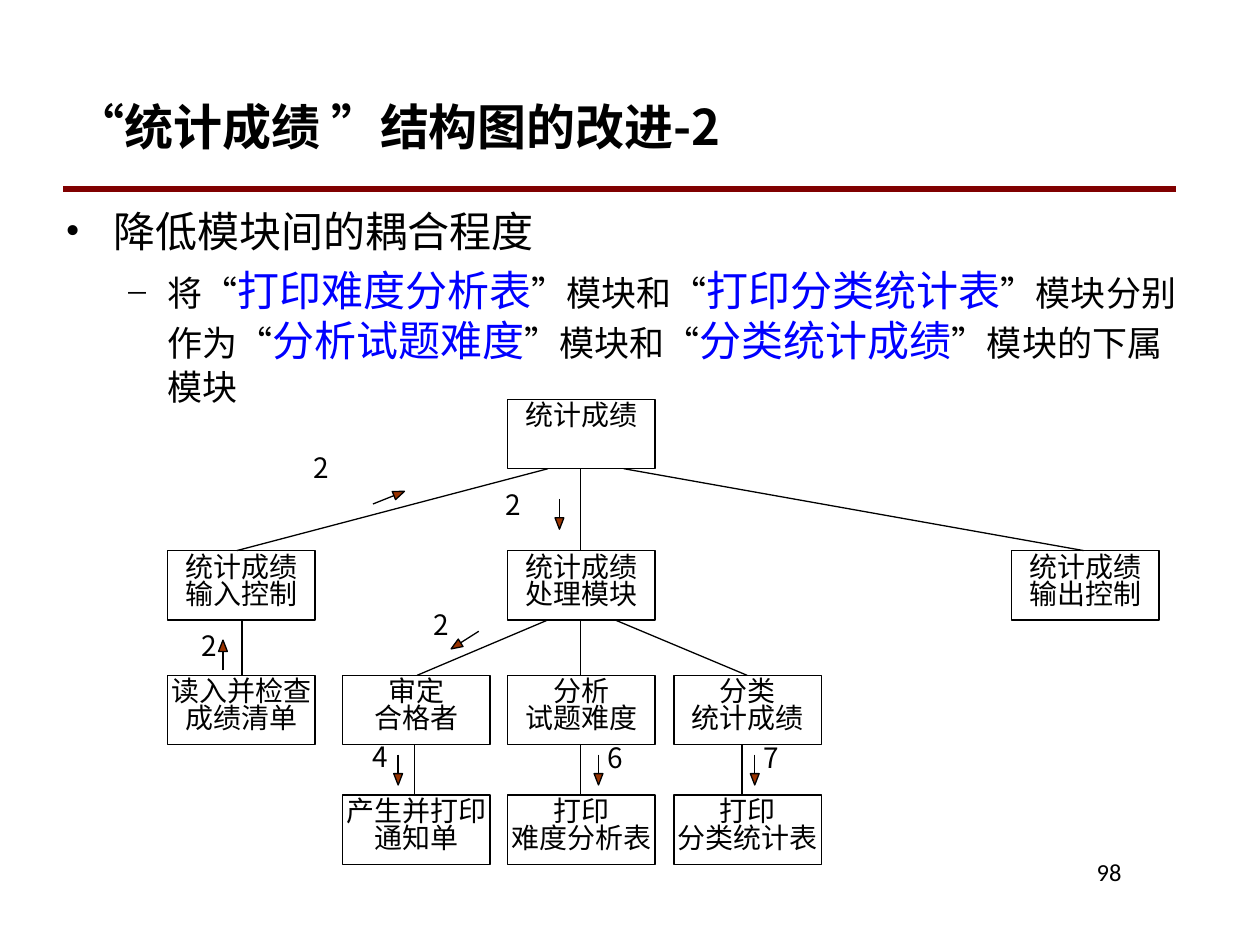
import math
from lxml import etree
from pptx import Presentation
from pptx import util as u
from pptx.dml.color import RGBColor
from pptx.enum import shapes, text
from pptx.oxml import ns

THEME = {
    "black": "000000", "blue": "0000FF", "rule": "800000", "brown": "993300",
    "hans": "Noto Sans CJK SC", "sans": "Calibri", "serif": "Times New Roman",
    "title": 28, "large": 24, "body": 20, "node": 16, "page": 14,
    "thin": 0.75, "thick": 3, "tight": 0.8,
}

# Grid of the module tree: left edges, top edges, node size
COLS = [1.33, 2.72, 4.03, 5.35, 8.03]
ROWS = [3.17, 4.37, 5.36, 6.31]
WIDE, HIGH = 1.17, 0.55

# (column, row, lines)
NODES = [
    (2, 0, ["统计成绩"]),
    (0, 1, ["统计成绩", "输入控制"]),
    (2, 1, ["统计成绩", "处理模块"]),
    (4, 1, ["统计成绩", "输出控制"]),
    (0, 2, ["读入并检查", "成绩清单"]),
    (1, 2, ["审定", "合格者"]),
    (2, 2, ["分析", "试题难度"]),
    (3, 2, ["分类", "统计成绩"]),
    (1, 3, ["产生并打印", "通知单"]),
    (2, 3, ["打印", "难度分析表"]),
    (3, 3, ["打印", "分类统计表"]),
]

# (upper row, x at parent, x at child)
LINKS = [
    (0, 4.35, 1.88), (0, 4.61, 4.61), (0, 4.95, 8.6),
    (1, 1.92, 1.92), (1, 4.35, 3.31), (1, 4.61, 4.61), (1, 4.88, 5.93),
    (2, 3.29, 3.29), (2, 4.61, 4.61), (2, 5.89, 5.89),
]

# (count, left and top of its label, tail, tip)
FLOWS = [
    ("2", (2.45, 3.59), (2.96, 4), (3.21, 3.9)),
    ("2", (3.97, 3.88), (4.44, 3.96), (4.44, 4.2)),
    ("2", (1.56, 5), (1.77, 5.32), (1.77, 5.08)),
    ("2", (3.4, 4.83), (3.8, 5.01), (3.58, 5.15)),
    ("4", (2.92, 5.88), (3.16, 5.99), (3.16, 6.23)),
    ("6", (4.78, 5.89), (4.75, 5.99), (4.75, 6.23)),
    ("7", (6.02, 5.89), (5.99, 5.99), (5.99, 6.23)),
]

POINTS = [("降低模块间的耦合程度", "large", "black")]
DETAIL = [
    ("将“", "body", "black"), ("打印难度分析表", "large", "blue"),
    ("”模块和“", "body", "black"), ("打印分类统计表", "large", "blue"),
    ("”模块分别作为“", "body", "black"), ("分析试题难度", "large", "blue"),
    ("”模块和“", "body", "black"), ("分类统计成绩", "large", "blue"),
    ("”模块的下属模块", "body", "black"),
]


def apply(item, **style):
    for key, value in style.items():
        setattr(item, key, value)


def tint(name):
    return RGBColor.from_string(THEME[name])


def inch(*values):
    return [u.Inches(v) for v in values]


def write(para, words, size, face, color="black", bold=False):
    run = para.add_run()
    run.text = words
    apply(run.font, size=u.Pt(THEME[size]), name=THEME[face], bold=bold)
    run.font.color.rgb = tint(color)
    props = run.font._element
    props.set("lang", "zh-CN")
    east = etree.Element(ns.qn("a:ea"), typeface=THEME["hans"])
    props.find(ns.qn("a:latin")).addnext(east)


def frame(shape, side, top, **style):
    body = shape.text_frame
    left, up = inch(side, top)
    apply(body, word_wrap=True, margin_left=left, margin_right=left,
          margin_top=up, margin_bottom=up, **style)
    return body


def label(slide, area, side=0.1, top=0.05, **style):
    return frame(slide.shapes.add_textbox(*inch(*area)), side, top, **style)


def line(slide, start, end, color="black", width="thin"):
    link = slide.shapes.add_connector(
        shapes.MSO_CONNECTOR.STRAIGHT, *inch(*start, *end))
    link.line.color.rgb = tint(color)
    link.line.width = u.Pt(THEME[width])
    etree.SubElement(link._element.spPr, ns.qn("a:effectLst"))


def solid(slide, kind, area, fill=None):
    shape = slide.shapes.add_shape(kind, *inch(*area))
    shape.shadow.inherit = False
    if fill:
        shape.fill.solid()
        shape.fill.fore_color.rgb = tint(fill)
    else:
        shape.fill.background()
    shape.line.color.rgb = tint("black")
    shape.line.width = u.Pt(THEME["thin"])
    return shape


def node(slide, col, row, lines):
    area = COLS[col], ROWS[row], WIDE, HIGH
    shape = solid(slide, shapes.MSO_SHAPE.RECTANGLE, area)
    body = frame(shape, 0.02, 0.04, vertical_anchor=text.MSO_ANCHOR.TOP)
    for i, words in enumerate(lines):
        para = body.add_paragraph() if i else body.paragraphs[0]
        apply(para, alignment=text.PP_ALIGN.CENTER,
              line_spacing=THEME["tight"])
        write(para, words, "node", "serif")


def flow(slide, count, place, tail, tip):
    para = label(slide, (*place, 0.38, 0.44), 0.04, 0.04).paragraphs[0]
    para.line_spacing = THEME["tight"]
    write(para, count, "node", "hans")
    # The head's centre lies half its height behind the tip
    wide, high = 0.07, 0.09
    dx, dy = tip[0] - tail[0], tip[1] - tail[1]
    back = high / 2 / math.hypot(dx, dy)
    x, y = tip[0] - dx * back, tip[1] - dy * back
    line(slide, tail, (x, y))
    head = solid(slide, shapes.MSO_SHAPE.ISOSCELES_TRIANGLE,
                 (x - wide / 2, y - high / 2, wide, high), "brown")
    head.rotation = math.degrees(math.atan2(dx, -dy)) % 360


def bullet(para, mark, left, hang, runs, before=0):
    props = para._p.get_or_add_pPr()
    props.set("marL", str(u.Inches(left)))
    props.set("indent", str(-u.Inches(hang)))
    etree.SubElement(props, ns.qn("a:buFont"), typeface=THEME["serif"])
    etree.SubElement(props, ns.qn("a:buChar"), char=mark)
    para.space_before = u.Pt(before)
    for words, size, color in runs:
        write(para, words, size, "hans" if color == "blue" else "sans", color)


def main():
    deck = Presentation()
    apply(deck, slide_width=u.Inches(10), slide_height=u.Inches(7.5))
    slide = deck.slides.add_slide(deck.slide_layouts[6])

    # Heading and rule
    line(slide, (0.5, 1.5), (9.33, 1.5), "rule", "thick")
    head = label(slide, (0.5, 0.5, 8.83, 1),
                 vertical_anchor=text.MSO_ANCHOR.MIDDLE)
    write(head.paragraphs[0], "“统计成绩 ”结构图的改进-2",
          "title", "hans", bold=True)

    # Bullets
    body = label(slide, (0.42, 1.58, 9.15, 1.6))
    bullet(body.paragraphs[0], "•", 0.38, 0.38, POINTS)
    bullet(body.add_paragraph(), "–", 0.81, 0.31, DETAIL, 5)

    # Module tree
    for row, start, end in LINKS:
        line(slide, (start, ROWS[row] + HIGH), (end, ROWS[row + 1]))
    for item in NODES:
        node(slide, *item)
    for item in FLOWS:
        flow(slide, *item)

    # Page number
    page = label(slide, (7.58, 6.75, 1.42, 0.5)).paragraphs[0]
    page.alignment = text.PP_ALIGN.RIGHT
    write(page, "98", "page", "sans")

    deck.save("out.pptx")


if __name__ == "__main__":
    main()
